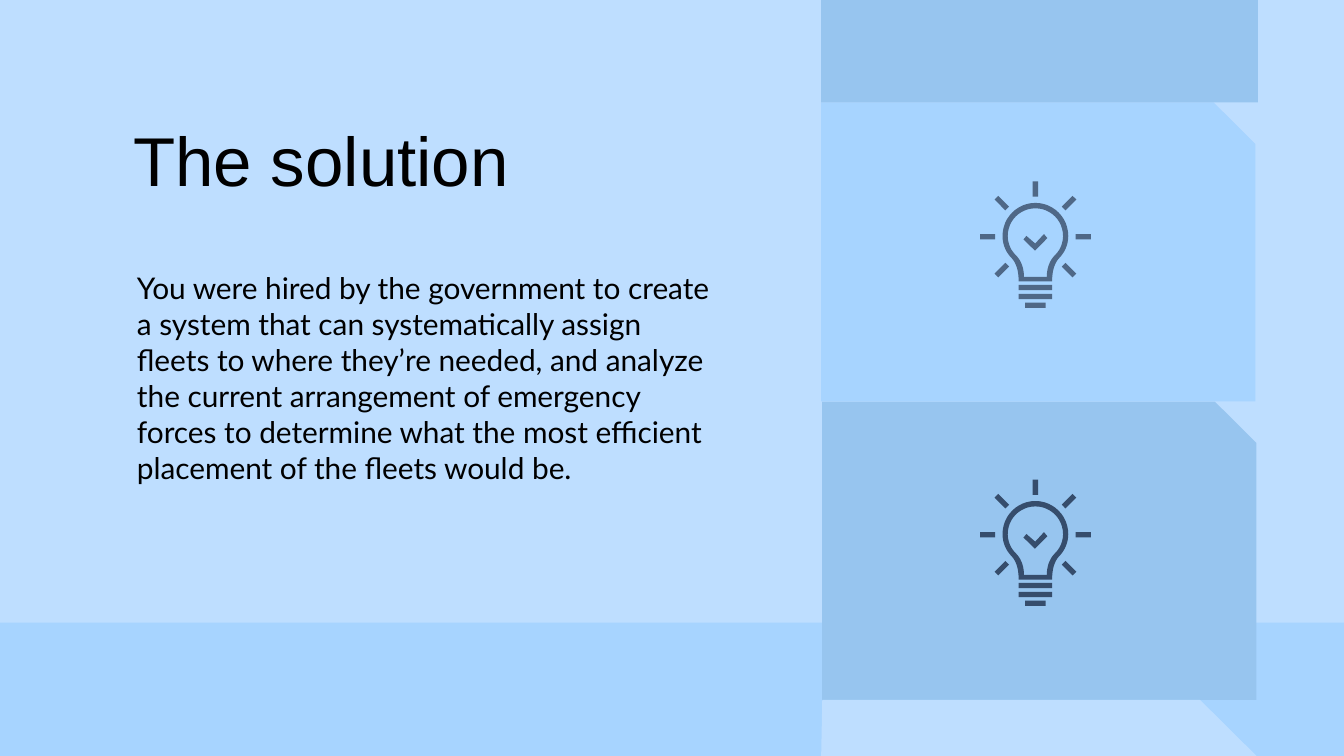
import pptx
import pptx.util
import pptx.dml.color
import pptx.enum.shapes
import pptx.enum.text

Pt = pptx.util.Pt
SHAPE = pptx.enum.shapes.MSO_SHAPE

PALE, SKY, BLUE = "BEDEFF", "A7D4FF", "97C5EF"
SLATE, NAVY, BLACK = "4F6887", "364D6C", "000000"

# Right half of the bulb: cubic curves, x from its axis and y from its top
GLASS_OUTSIDE = [
    [(0, 11.5), (9.7, 11.5), (17.6, 19.4), (17.6, 29.2)],
    [(17.6, 29.2), (17.6, 33.8), (15.8, 38.1), (12.5, 41.3)],
    [(12.5, 41.3), (8.9, 45.6), (9, 51.5), (9, 53.6)],
]
GLASS_INSIDE = [
    [(0, 14.4), (8.2, 14.4), (14.8, 21), (14.8, 29.2)],
    [(14.8, 29.2), (14.8, 33.2), (13.2, 36.9), (10.4, 39.6)],
    [(10.4, 39.6), (6.8, 43.2), (6.1, 48.2), (6.1, 51.1)],
]
CHECK_MARK = [(4.6, 28.2), (-0.1, 33.3), (-4.8, 29.2),
              (-6.4, 31.1), (-0.2, 37.1), (6.4, 30.4)]
DIAGONAL_RAY = [(-1.9, -3.9), (-3.9, -1.9), (1.9, 3.9), (3.9, 1.9)]
# Left, top, width and height, with x from the axis of the bulb
BARS = [
    (-9, 55.4, 18, 2.9), (-9, 60.2, 18, 2.9), (-5.5, 64.9, 11, 2.9),
    (-29.7, 28.2, 8.2, 2.9), (21.5, 28.2, 8.2, 2.9), (-1.45, 0, 2.9, 8.2),
]


def color(value):
    return pptx.dml.color.RGBColor.from_string(value)


def paint(shape, fill):
    shape.shadow.inherit = False
    shape.fill.solid()
    shape.fill.fore_color.rgb = color(fill)
    shape.line.fill.background()


def add_block(shapes, box, fill, snip=0):
    kind = SHAPE.SNIP_1_RECTANGLE if snip else SHAPE.RECTANGLE
    shape = shapes.add_shape(kind, *[Pt(value) for value in box])
    if snip:
        shape.adjustments[0] = snip
    paint(shape, fill)


def add_outline(shapes, contours, fill, left=0, top=0):
    placed = [[(Pt(left + x), Pt(top + y)) for x, y in contour]
              for contour in contours]
    builder = shapes.build_freeform(*placed[0][0], scale=1.0)
    for index, contour in enumerate(placed):
        if index:
            builder.move_to(*contour[0])
        builder.add_line_segments(contour[1:], close=True)
    paint(builder.convert_to_shape(), fill)


def curve_points(curve, steps=12):
    for step in range(steps + 1):
        t = step / steps
        weights = ((1 - t) ** 3, 3 * t * (1 - t) ** 2,
                   3 * t ** 2 * (1 - t), t ** 3)
        yield tuple(sum(weight * point[axis]
                        for weight, point in zip(weights, curve))
                    for axis in (0, 1))


def symmetric_contour(curves):
    right = [point for curve in curves for point in curve_points(curve)]
    return right + [(-x, y) for x, y in reversed(right)]


def add_background(slide):
    slide.background.fill.solid()
    slide.background.fill.fore_color.rgb = color(SKY)
    add_block(slide.shapes, (0, 0, 720, 333.6), PALE)


def add_panels(slide, left, width):
    shapes = slide.shapes
    # Two panels with a cut corner
    add_block(shapes, (left + 0.6, 215.2, width - 1.4, 159.8), BLUE, 0.139)
    add_block(shapes, (left, 54.9, width - 1.4, 160.2), SKY, 0.139)
    # Parts that run off the top and bottom edges
    add_block(shapes, (left, 0, width, 54.9), BLUE)
    add_outline(shapes, [[(0, 405), (width - 0.8, 405),
                          (width - 31, 375), (0.6, 375)]], PALE, left)


def add_bulb(slide, left, top, width, fill):
    shapes = slide.shapes.add_group_shape().shapes
    axis = left + width / 2
    # Glass with a hollow middle
    glass = [symmetric_contour(GLASS_OUTSIDE), symmetric_contour(GLASS_INSIDE)]
    add_outline(shapes, glass, fill, axis, top)
    # Socket and straight rays
    for x, y, bar_width, bar_height in BARS:
        add_block(shapes, (axis + x, top + y, bar_width, bar_height), fill)
    # Diagonal rays
    for side in (-1, 1):
        for y, flip in ((11.6, -side), (47.5, side)):
            ray = [(flip * dx, dy) for dx, dy in DIAGONAL_RAY]
            add_outline(shapes, [ray], fill, axis + side * 18, top + y)
    add_outline(shapes, [CHECK_MARK], fill, axis, top)


def add_text(slide, box, text, font_format, paragraph_format):
    shape = slide.shapes.add_textbox(*[Pt(value) for value in box])
    frame = shape.text_frame
    frame_format = {
        "word_wrap": True, "margin_left": 0, "margin_top": 0,
        "margin_right": Pt(7.2), "margin_bottom": 0,
        "vertical_anchor": pptx.enum.text.MSO_ANCHOR.TOP,
    }
    paragraph = frame.paragraphs[0]
    run = paragraph.add_run()
    run.text = text
    run.font.color.rgb = color(BLACK)
    for target, values in ((frame, frame_format),
                           (paragraph, paragraph_format),
                           (run.font, font_format)):
        for name, value in values.items():
            setattr(target, name, value)


def main():
    presentation = pptx.Presentation()
    presentation.slide_width, presentation.slide_height = Pt(720), Pt(405)
    slide = presentation.slides.add_slide(presentation.slide_layouts[6])

    add_background(slide)
    add_panels(slide, 439.9, 234)

    # Title and body text
    add_text(slide, (71.3, 71.3, 369.4, 67.7), "The solution",
             {"name": "Arial", "size": Pt(37)}, {"line_spacing": 0.8})
    add_text(slide, (73.4, 144.7, 315.4, 148.3),
             "You were hired by the government to create a system that can "
             "systematically assign fleets to where they’re needed, and "
             "analyze the current arrangement of emergency forces to "
             "determine what the most efficient placement of the fleets "
             "would be.",
             {"name": "Lato", "size": Pt(16)}, {"space_before": Pt(10)})

    # One bulb on each panel
    for top, fill in ((97.2, SLATE), (256.9, NAVY)):
        add_bulb(slide, 525, top, 59.4, fill)

    presentation.save("out.pptx")


if __name__ == "__main__":
    main()
